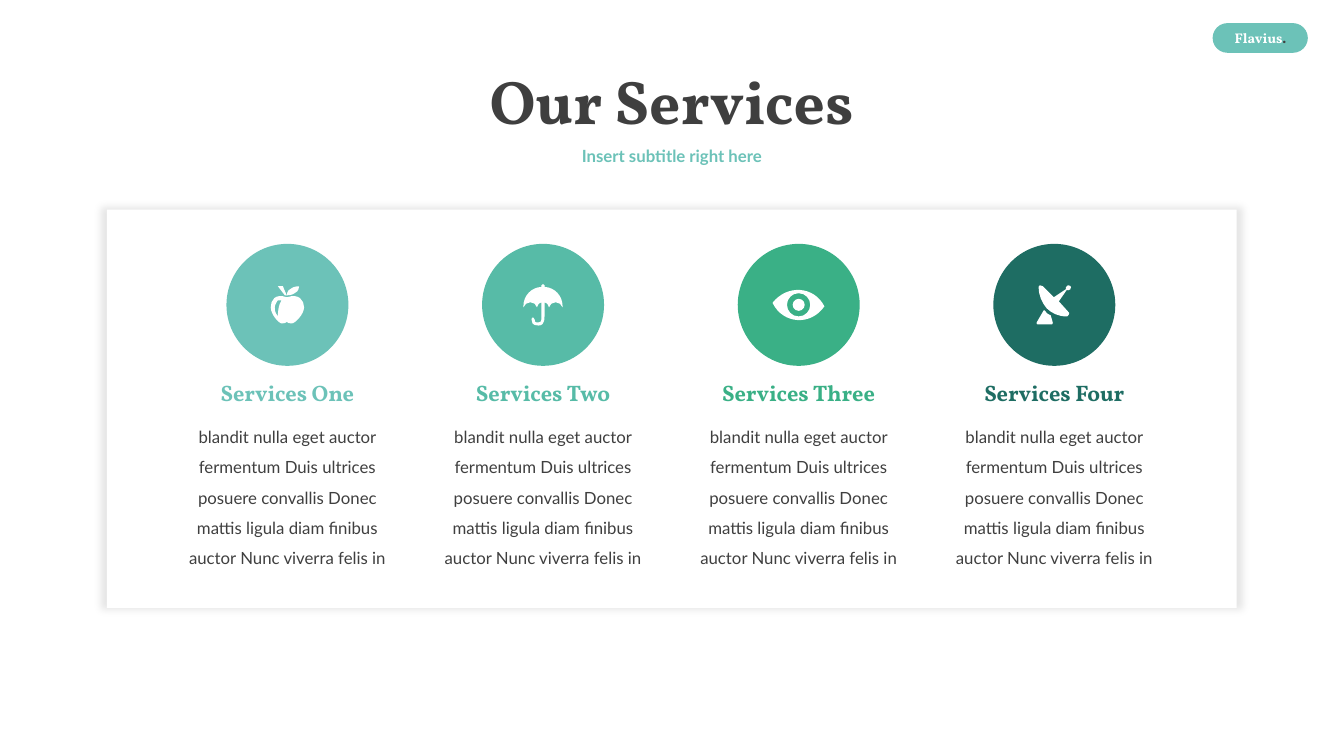
from dataclasses import dataclass

from lxml.etree import SubElement
from pptx import Presentation
from pptx.dml.color import RGBColor
from pptx.enum.shapes import MSO_AUTO_SHAPE_TYPE as ShapeKind
from pptx.enum.text import MSO_ANCHOR as Anchor
from pptx.enum.text import MSO_AUTO_SIZE as AutoSize
from pptx.enum.text import PP_ALIGN as Align
from pptx.oxml.ns import qn
from pptx.util import Pt

COLOURS = {
    "white": "FFFFFF",
    "black": "000000",
    "text": "3F3F3F",
    "aqua": "6CC2B8",
    "teal": "57BBA7",
    "green": "3AB086",
    "pine": "1E6D63",
}
HEADING_FONT, BODY_FONT = "Vollkorn", "Lato"
BODY = ("blandit nulla eget auctor fermentum Duis ultrices posuere convallis Donec "
        "mattis ligula diam finibus auctor Nunc viverra felis in")

# Column geometry
FIRST_CENTRE, COLUMN_STEP = 205.3, 182.6
CIRCLE_TOP, CIRCLE_SIZE = 174.2, 87.1
CIRCLE_MIDDLE = CIRCLE_TOP + CIRCLE_SIZE / 2

# An outline starts at a point; pairs are line ends, sixes are cubic curves.
Outline = list[tuple[float, ...]]


@dataclass
class Service:
    name: str
    colour: str
    icon: list[list[Outline]]  # shapes, each with one or more outlines
    dot_size: float = 0


# Icon outlines, in points from the circle centre
APPLE = [
    [
        [(-0.3, -5.4), (-9, -8.3, -11.9, -3.2, -11.9, 1.8), (-11.9, 6.8, -6.1, 13.3, -4, 13.3),
         (-0.4, 13.3, -0.4, 11.9, -0.4, 11.9), (-0.4, 11.9, -0.4, 13.3, 3.2, 13.3),
         (5.4, 13.3, 11.9, 6.8, 11.9, 1.8), (11.9, -3.2, 8.3, -8.3, -0.3, -5.4)],
        [(-6.8, 8.3), (-11.9, 1.8, -6.8, -3.2, -6.8, -3.2), (-4, -3.2),
         (-4, -3.2, -6.8, -0.4, -6.8, 8.3)],
    ],
    [[(-0.4, -6.8), (-1.8, -9.7, -3.2, -13.3, -3.2, -13.3), (-6.8, -13.3), (-1.8, -6.8)]],
    [[(8.3, -13.3), (8.3, -13.3, -0.4, -13.3, -0.4, -6.8), (-0.4, -6.8, 8.3, -6.8, 8.3, -13.3)]],
]
UMBRELLA = [[[
    (1.1, -12.8), (1.1, -14), (1.1, -14.4, 0.6, -14.8, 0, -14.8),
    (-0.6, -14.8, -1.1, -14.4, -1.1, -14), (-1.1, -12.8),
    (-8.3, -12.4, -14, -6.6, -14, 1), (-14, 1.8),
    (-13.3, -0.4, -11.2, -1.8, -9, -1.8), (-6.8, -1.8, -4.7, -0.4, -4.3, 1.8),
    (-4, -0.4, -2.6, -1.4, -1.1, -1.8), (-1.1, 8.3),
    (-1.1, 12.6, -1.8, 12.6, -3.4, 12.6), (-6, 12.6, -6, 11.9, -6, 10.4),
    (-6, 9.5, -6.4, 9, -7, 9), (-7.8, 9, -8.2, 9.6, -8.2, 10.4),
    (-8.2, 12, -8, 14.8, -3.4, 14.8), (-1, 14.8, 1.1, 14, 1.1, 8.3), (1.1, -1.8),
    (2.6, -1.4, 4, -0.4, 4.3, 1.8), (4.7, -0.4, 6.8, -1.8, 9, -1.8),
    (11.2, -1.8, 13.3, -0.4, 14, 1.8), (14, 1), (14, -6.6, 8.3, -12.4, 1.1, -12.8),
]]]
EYE = [[
    [(-18.5, -1.6), (-18.5, -1.1), (-14.8, 6.4, -7.9, 10.5, -0.8, 10.9),
     (6.4, 11.3, 13.7, 8, 18.4, 1.1), (14.7, -6.1, 8.1, -10.1, 1.1, -10.6),
     (-5.9, -11.1, -13.2, -8.2, -18.5, -1.6)],
    [(8.3, 0), (8.3, 4.6, 4.6, 8.3, 0, 8.3), (-4.6, 8.3, -8.3, 4.6, -8.3, 0),
     (-8.3, -4.6, -4.6, -8.3, 0, -8.3), (4.6, -8.3, 8.3, -4.6, 8.3, 0)],
]]
DISH = [
    [[(9.7, -10.4), (11.2, -10.4, 11.9, -11.2, 11.9, -12.6), (11.9, -13.3, 11.2, -14, 9.7, -14),
      (9, -14, 8.3, -13.3, 8.3, -12.6), (8.3, -11.2), (-0.4, -5.4), (-8.3, -13.3),
      (-9, -14, -9.7, -14, -10.4, -14), (-11.2, -14, -11.2, -12.6, -11.2, -12.6),
      (-11.2, -6.8, -9, -1.8, -5.4, 2.5), (-1.8, 6.1, 3.2, 8.3, 9, 8.3),
      (9.7, 8.3, 9.7, 7.6, 10.4, 6.8), (11.2, 6.1, 10.4, 5.4, 9.7, 4.7),
      (3.2, -2.5), (9, -10.8)]],
    [[(-2.5, 7.6), (-4.7, 6.8, -6.1, 5.4, -6.8, 4), (-7.6, 4), (-12.6, 12.6),
      (-12.6, 13.3, -12.6, 14, -11.9, 14), (-1.8, 14), (-1.1, 14, -1.1, 13.3, -1.1, 12.6)]],
]

SERVICES = [
    Service("Services One", "aqua", APPLE),
    Service("Services Two", "teal", UMBRELLA),
    Service("Services Three", "green", EYE, dot_size=8.6),
    Service("Services Four", "pine", DISH),
]


def rgb(colour: str) -> RGBColor:
    return RGBColor.from_string(COLOURS[colour])


def place(box, left: float, top: float, width: float, height: float) -> None:
    box.left, box.top, box.width, box.height = Pt(left), Pt(top), Pt(width), Pt(height)


def write(box, *texts: tuple[str, str], size: float, font: str, bold: bool = False,
          spacing: float = 1.0, anchor=Anchor.TOP, fit=AutoSize.SHAPE_TO_FIT_TEXT) -> None:
    """Fill a box with one centred paragraph of (text, colour) spans."""
    frame = box.text_frame
    frame.word_wrap, frame.auto_size, frame.vertical_anchor = True, fit, anchor
    para = frame.paragraphs[0]
    para.alignment, para.line_spacing, para.space_before = Align.CENTER, spacing, Pt(0)
    for text, colour in texts:
        span = para.add_run()
        span.text = text
        span.font.name, span.font.size, span.font.bold = font, Pt(size), bold
        span.font.color.rgb = rgb(colour)


def paint(shape, colour: str) -> None:
    shape.shadow.inherit = False
    shape.fill.solid()
    shape.fill.fore_color.rgb = rgb(colour)
    shape.line.fill.background()


def add_panel(shapes, kind, colour: str, *bounds: float):
    shape = shapes.add_shape(kind, *map(Pt, bounds))
    paint(shape, colour)
    return shape


def add_disc(shapes, colour: str, centre: float, size: float) -> None:
    add_panel(shapes, ShapeKind.OVAL, colour,
              centre - size / 2, CIRCLE_MIDDLE - size / 2, size, size)


def add_label(page, bounds: tuple[float, ...], *texts: tuple[str, str], **style) -> None:
    write(page.shapes.add_textbox(*map(Pt, bounds)), *texts, **style)


def add_outlines(shapes, outlines: list[Outline], centre: float) -> None:
    """Build a freeform through the end points, then bend its curved segments."""
    def on_page(point: tuple[float, ...]) -> tuple[int, int]:
        return Pt(centre + point[0]), Pt(CIRCLE_MIDDLE + point[1])

    builder = shapes.build_freeform(*on_page(outlines[0][0]))
    for index, outline in enumerate(outlines):
        if index:
            builder.move_to(*on_page(outline[0]))
        builder.add_line_segments([on_page(step[-2:]) for step in outline[1:]], close=True)
    shape = builder.convert_to_shape()
    paint(shape, "white")

    steps = [step for outline in outlines for step in outline[1:]]
    for segment, step in zip(list(shape._element.iter(qn("a:lnTo"))), steps):
        if len(step) == 6:
            curve = segment.makeelement(qn("a:cubicBezTo"))
            for point in (step[:2], step[2:4], step[4:]):
                x, y = on_page(point)
                SubElement(curve, qn("a:pt"), x=str(x - shape.left), y=str(y - shape.top))
            segment.getparent().replace(segment, curve)


def add_icon(page, service: Service, centre: float) -> None:
    parts = len(service.icon) + bool(service.dot_size)
    shapes = page.shapes.add_group_shape().shapes if parts > 1 else page.shapes
    for outlines in service.icon:
        add_outlines(shapes, outlines, centre)
    if service.dot_size:
        add_disc(shapes, "white", centre, service.dot_size)


def add_soft_shadow(shape) -> None:
    effects = shape._element.spPr.find(qn("a:effectLst"))
    shadow = SubElement(effects, qn("a:outerShdw"), blurRad=str(Pt(5)), dist="0", dir="0",
                        sx="101000", sy="101000", algn="ctr", rotWithShape="0")
    tint = SubElement(shadow, qn("a:srgbClr"), val=COLOURS["black"])
    SubElement(tint, qn("a:alpha"), val="9000")


def add_service(page, service: Service, centre: float) -> None:
    add_disc(page.shapes, service.colour, centre, CIRCLE_SIZE)
    add_label(page, (centre - 84.2, 294.1, 168.4, 113.8), (BODY, "text"),
              size=12, font=BODY_FONT, spacing=1.5)
    add_label(page, (centre - 70.2, 267.4, 140.4, 26.6), (service.name, service.colour),
              size=16, font=HEADING_FONT, bold=True)


def main() -> None:
    deck = Presentation()
    deck.slide_width, deck.slide_height = Pt(960), Pt(540)
    page = deck.slides.add_slide(deck.slide_layouts[0])

    # Name badge
    badge = add_panel(page.shapes, ShapeKind.ROUNDED_RECTANGLE, "aqua", 866.7, 17, 67, 20.2)
    badge.adjustments[0] = 0.5
    badge.line.color.rgb, badge.line.width = rgb("aqua"), Pt(1)
    add_label(page, (873.1, 17.2, 54.7, 19.4), ("Flavius", "white"), (".", "text"),
              size=10, font=HEADING_FONT, bold=True)

    # Card
    add_soft_shadow(add_panel(page.shapes, ShapeKind.RECTANGLE, "white",
                              76.3, 149.8, 807.1, 284.4))

    # Title and subtitle
    title, subtitle = page.placeholders
    place(title, 209.8, 37.4, 540, 74.2)
    write(title, ("Our Services", "text"), size=44, font=HEADING_FONT, bold=True,
          spacing=0.9, anchor=Anchor.MIDDLE, fit=AutoSize.NONE)
    place(subtitle, 210, 98.4, 540, 27.4)
    write(subtitle, ("Insert subtitle right here", "aqua"), size=12, font=BODY_FONT, bold=True,
          spacing=0.9, anchor=Anchor.MIDDLE, fit=AutoSize.NONE)

    # Service columns, then the icons on their discs
    centres = [FIRST_CENTRE + index * COLUMN_STEP for index in range(len(SERVICES))]
    for draw in (add_service, add_icon):
        for service, centre in zip(SERVICES, centres):
            draw(page, service, centre)

    deck.save("out.pptx")


if __name__ == "__main__":
    main()
